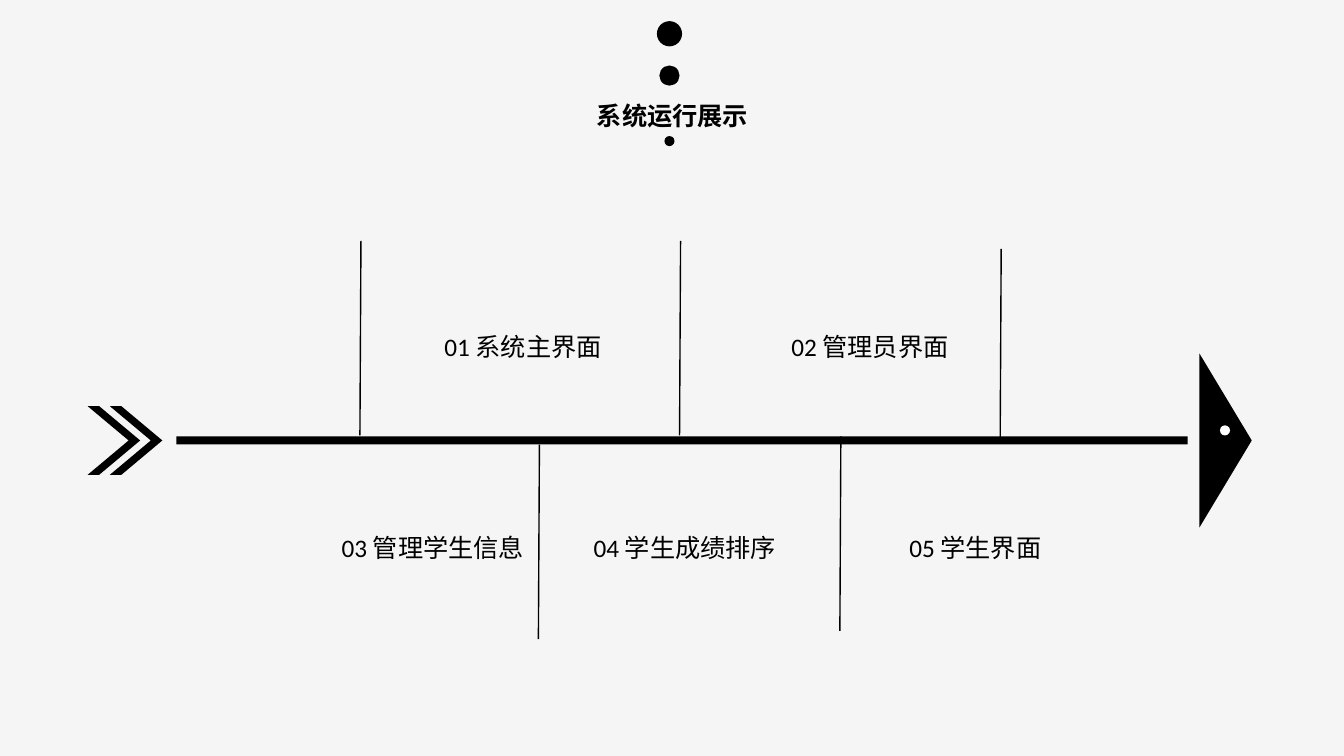
from pptx import Presentation
from pptx.dml.color import RGBColor
from pptx.enum.shapes import MSO_CONNECTOR, MSO_SHAPE as SHAPE
from pptx.enum.text import MSO_ANCHOR, PP_ALIGN
from pptx.oxml.ns import qn
from pptx.util import Inches, Pt
from lxml import etree

COLORS = {"background": "F5F5F5", "ink": "000000", "eye": "FFFFFF"}
CJK_FONT = "Noto Sans CJK SC"


def add_solid(kind, x, y, w, h, color="ink"):
    """Add a preset shape with a plain fill and no outline."""
    sp = slide.shapes.add_shape(kind, Inches(x), Inches(y), Inches(w), Inches(h))
    sp.shadow.inherit = False
    sp.fill.solid()
    sp.fill.fore_color.rgb = RGBColor.from_string(COLORS[color])
    sp.line.fill.background()
    return sp


def write_text(tf, text, font, bold=False):
    p = tf.paragraphs[0]
    r = p.add_run()
    r.text = text
    r.font.size = Pt(18)
    r.font.bold = bold
    r.font.name = font
    r.font.color.rgb = RGBColor.from_string(COLORS["ink"])
    ea = etree.SubElement(r.font._element, qn("a:ea"))
    ea.set("typeface", CJK_FONT)
    return p


prs = Presentation()
prs.slide_width, prs.slide_height = Inches(13.33), Inches(7.5)
slide = prs.slides.add_slide(prs.slide_layouts[5])
slide.background.fill.solid()
slide.background.fill.fore_color.rgb = RGBColor.from_string(COLORS["background"])

# Title and the column of dots around it
title = slide.shapes.title
title.left, title.top = Inches(5.82), Inches(0.94)
title.width, title.height = Inches(1.7), Inches(0.4)
tf = title.text_frame
tf.margin_left = tf.margin_right = 0
tf.word_wrap = False
tf.vertical_anchor = MSO_ANCHOR.TOP
write_text(tf, "系统运行展示", CJK_FONT, bold=True).alignment = PP_ALIGN.CENTER

for y, size in [(0.21, 0.25), (0.65, 0.2), (1.35, 0.1)]:
    add_solid(SHAPE.OVAL, 6.64 - size / 2, y, size, size)

# Fish: spine, tail, head and eye
add_solid(SHAPE.RECTANGLE, 1.75, 4.33, 10.03, 0.08)
for x in (0.87, 1.09):
    tail = add_solid(SHAPE.CHEVRON, x, 4.03, 0.52, 0.68)
    tail.adjustments[0] = 0.78
head = add_solid(SHAPE.ISOSCELES_TRIANGLE, 11.29, 4.11, 1.73, 0.52)
head.rotation = 90
add_solid(SHAPE.OVAL, 12.1, 4.22, 0.1, 0.1, "eye")

# Bones lean slightly to the left
for x, top in [(3.58, 2.39), (6.75, 2.39), (9.93, 2.47), (5.35, 4.41), (8.34, 4.33)]:
    bone = slide.shapes.add_connector(
        MSO_CONNECTOR.STRAIGHT,
        Inches(x), Inches(top), Inches(x - 0.01), Inches(top + 1.93))
    bone.line.width = Pt(1)
    bone.line.color.rgb = RGBColor.from_string(COLORS["ink"])
    etree.SubElement(bone._element.spPr, qn("a:effectLst"))

# Labels above and below the spine
labels = [
    ("01 系统主界面", 4.31, 3.24, 1.94),
    ("02 管理员界面", 7.75, 3.24, 1.76),
    ("03 管理学生信息", 3.29, 5.23, 2.05),
    ("04 学生成绩排序", 5.79, 5.23, 2.09),
    ("05 学生界面", 8.92, 5.23, 1.55),
]
for text, x, y, w in labels:
    box = slide.shapes.add_textbox(Inches(x), Inches(y), Inches(w), Inches(0.4))
    box.text_frame.word_wrap = True
    write_text(box.text_frame, text, "Calibri")

prs.save("out.pptx")
